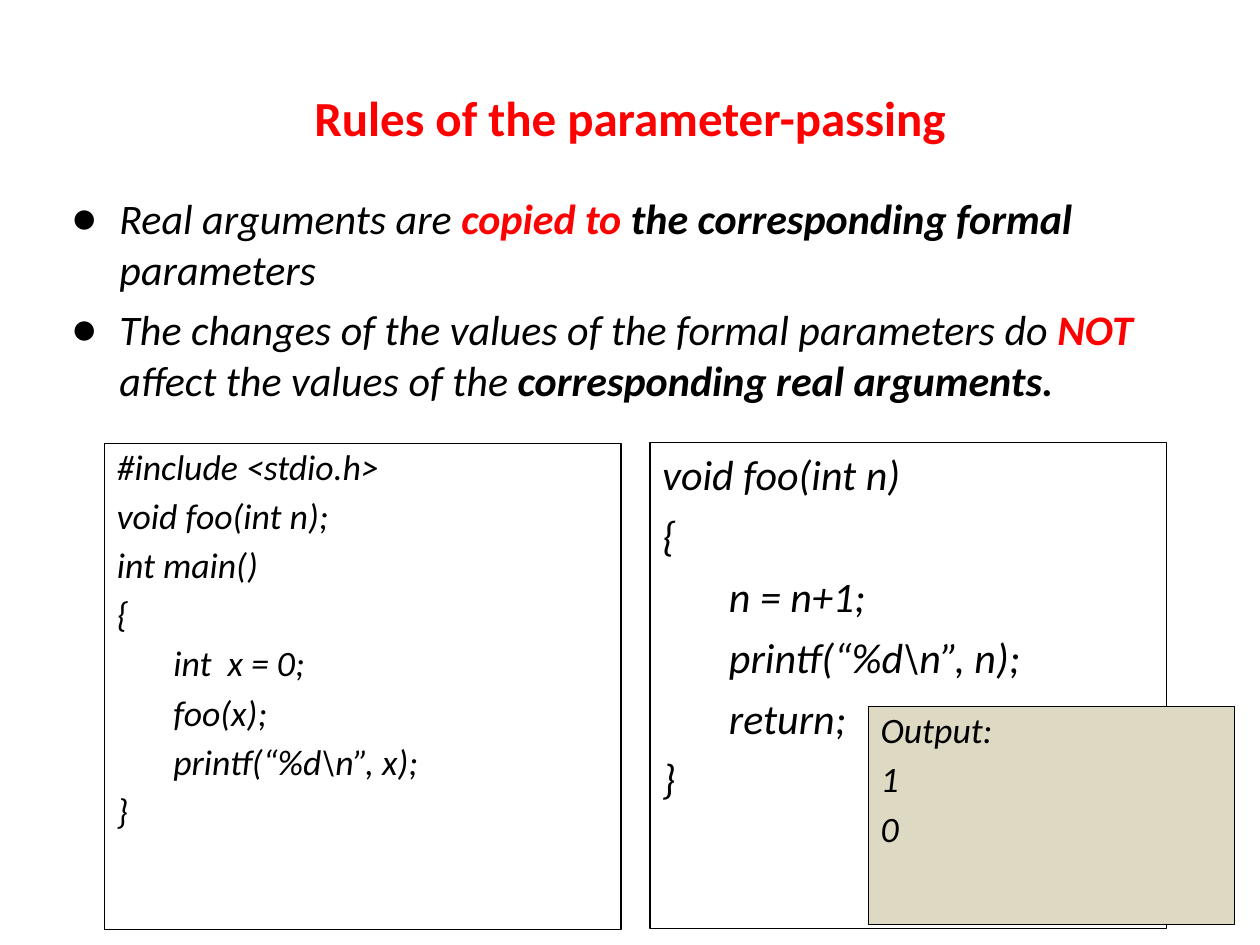
from lxml import etree
from pptx import Presentation
from pptx.dml.color import RGBColor
from pptx.enum import shapes, text
from pptx.oxml.ns import qn
from pptx.util import Inches, Pt

BLACK, RED, SAND = "000000", "FF0000", "DDD9C3"

TITLE = "Rules of the parameter-passing"
PLAIN = {"italic": True}
STRONG = {"italic": True, "bold": True}
KEY = {"italic": True, "bold": True, "color": RED}
RULES = [
    [("Real arguments are ", PLAIN), ("copied to ", KEY),
     ("the corresponding formal ", STRONG), ("parameters", PLAIN)],
    [("The changes of the values of the formal parameters do ", PLAIN), ("NOT", KEY),
     (" affect the values of the ", PLAIN), ("corresponding real arguments.", STRONG)],
]
MAIN_CODE = """#include <stdio.h>
void foo(int n);
int main()
{
       int  x = 0;
       foo(x);
       printf(“%d\\n”, x);
}"""
FOO_CODE = """void foo(int n)
{
       n = n+1;
       printf(“%d\\n”, n);
       return;
}"""
OUTPUT = "Output:\n1\n0"

# left, top, width, height; fill; text size; line spacing; text
PANELS = [
    ((0.83, 3.52, 4.1, 3.86), None, 20.4, 0.9, MAIN_CODE),
    ((5.16, 3.51, 4.1, 3.86), None, 24, 1, FOO_CODE),
    ((6.89, 5.61, 2.91, 1.73), SAND, 20.4, 0.9, OUTPUT),
]


def rgb(color):
    return RGBColor.from_string(color)


def add_run(p, words, size, color=BLACK, **formats):
    r = p.add_run()
    r.text = words
    r.font.color.rgb = rgb(color)
    for name, value in {"name": "Calibri", "size": Pt(size), **formats}.items():
        setattr(r.font, name, value)


def add_bullet(p, indent):
    pPr = p._p.get_or_add_pPr()
    pPr.set("marL", str(Inches(indent)))
    pPr.set("indent", str(-Inches(indent)))
    color = etree.SubElement(pPr, qn("a:buClr"))
    etree.SubElement(color, qn("a:srgbClr"), val=BLACK)
    etree.SubElement(pPr, qn("a:buFont"), typeface="Calibri")
    etree.SubElement(pPr, qn("a:buChar"), char="●")


def paragraphs(tf, items):
    """Yield a paragraph for each item, spaced from the one before."""
    for i, item in enumerate(items):
        p = tf.add_paragraph() if i else tf.paragraphs[0]
        if i:
            p.space_before = Pt(6)
        yield p, item


def add_text_box(slide, box, anchor):
    tf = slide.shapes.add_textbox(*map(Inches, box)).text_frame
    tf.word_wrap = True
    tf.vertical_anchor = anchor
    return tf


def add_panel(slide, box, fill, size, spacing, code):
    sp = slide.shapes.add_shape(shapes.MSO_SHAPE.RECTANGLE, *map(Inches, box))
    sp.shadow.inherit = False
    if fill:
        sp.fill.solid()
        sp.fill.fore_color.rgb = rgb(fill)
    else:
        sp.fill.background()
    sp.line.color.rgb = rgb(BLACK)
    sp.line.width = Pt(0.75)
    tf = sp.text_frame
    tf.word_wrap = True
    tf.vertical_anchor = text.MSO_ANCHOR.TOP
    for p, line in paragraphs(tf, code.split("\n")):
        p.alignment = text.PP_ALIGN.LEFT
        p.line_spacing = spacing
        add_run(p, line, size, italic=True)


def main():
    prs = Presentation()
    prs.slide_width, prs.slide_height = Inches(10), Inches(7.5)
    slide = prs.slides.add_slide(prs.slide_layouts[6])

    tf = add_text_box(slide, (0.47, 1.48, 9.34, 1.87), text.MSO_ANCHOR.TOP)
    for p, runs in paragraphs(tf, RULES):
        add_bullet(p, 0.38)
        for words, formats in runs:
            add_run(p, words, 24, **formats)

    tf = add_text_box(slide, (0.5, 0.3, 9, 1.25), text.MSO_ANCHOR.MIDDLE)
    p = tf.paragraphs[0]
    p.alignment = text.PP_ALIGN.CENTER
    add_run(p, TITLE, 28, RED, bold=True)

    for panel in PANELS:
        add_panel(slide, *panel)
    prs.save("out.pptx")


if __name__ == "__main__":
    main()
